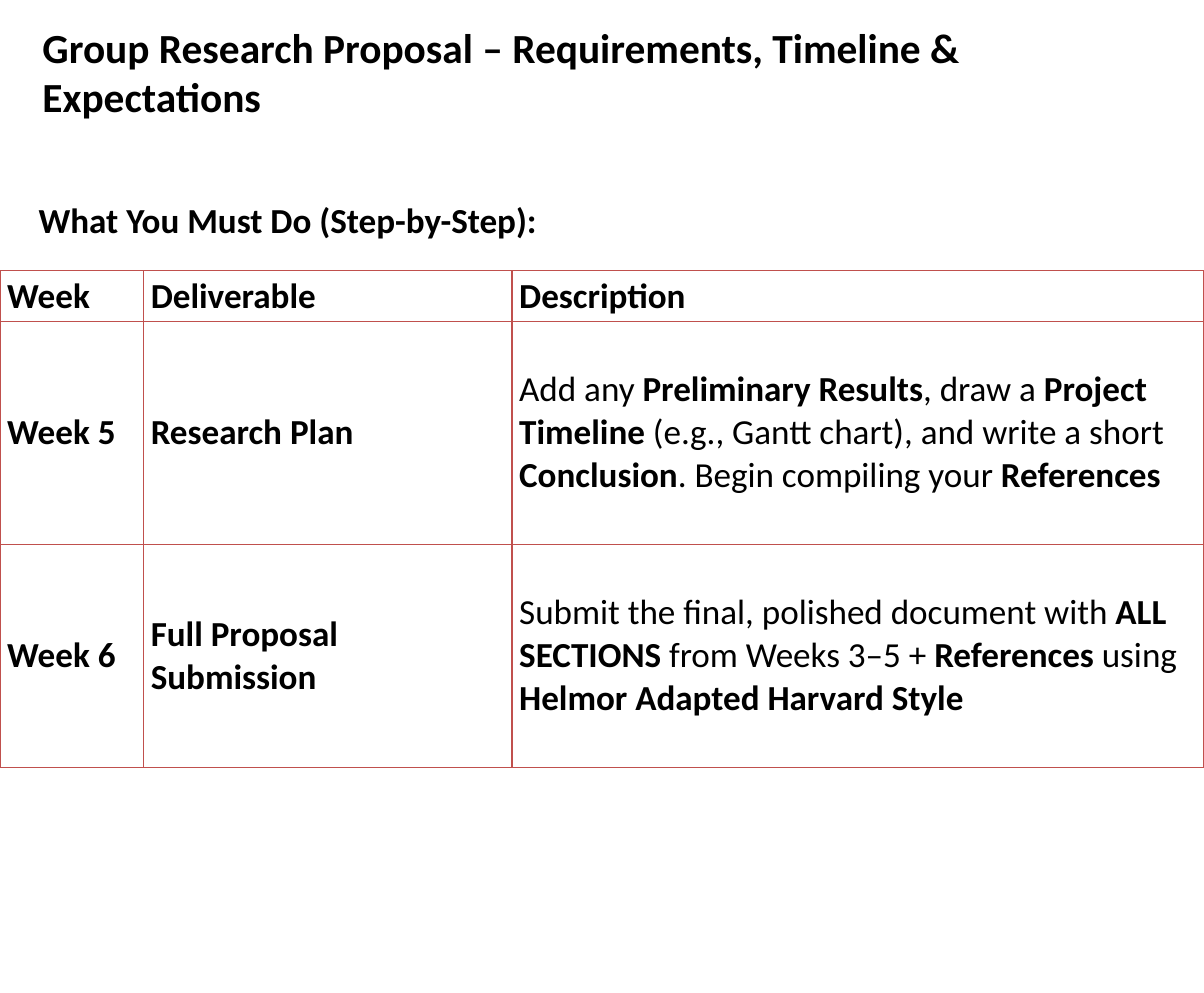
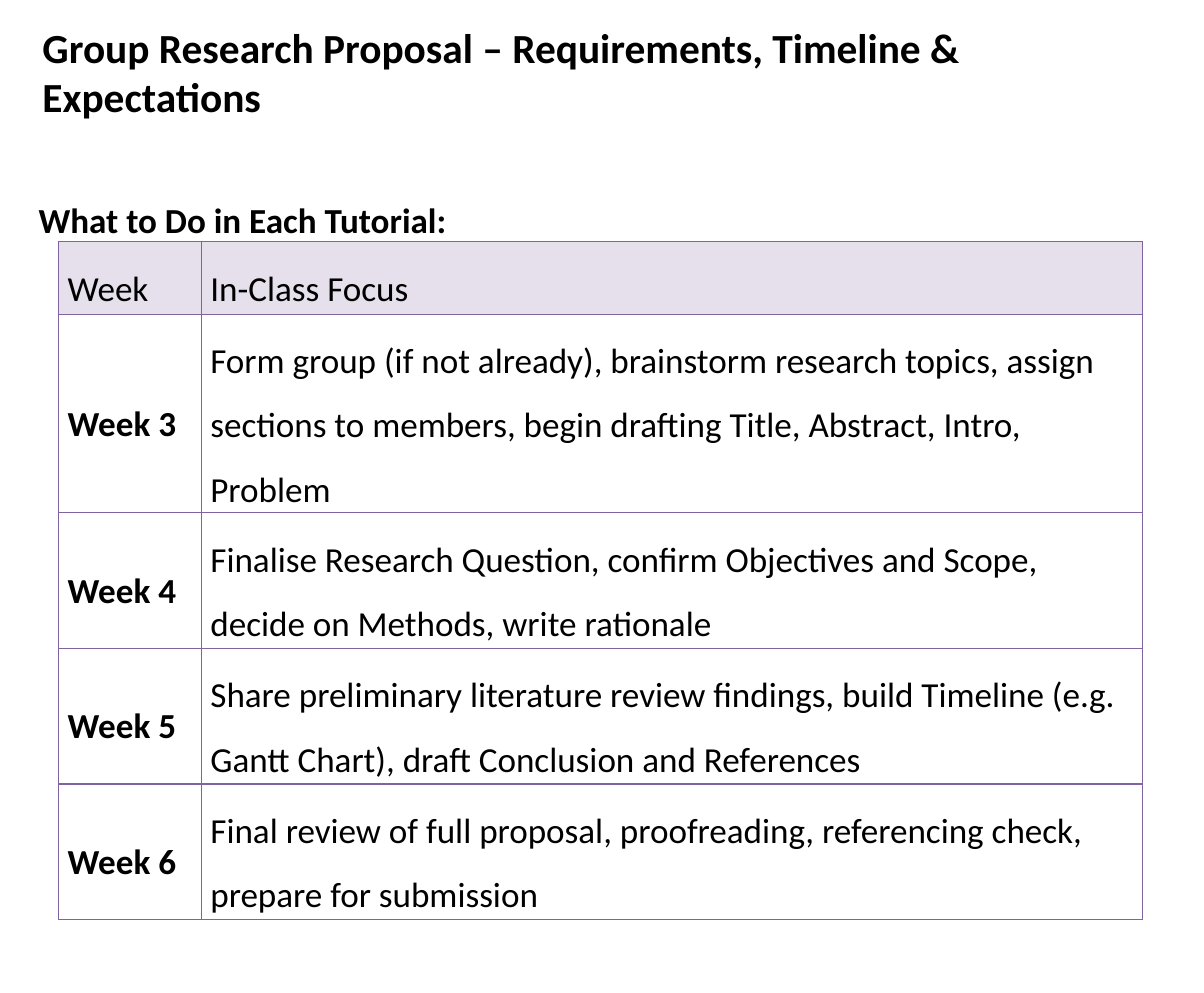
from lxml.etree import SubElement
from pptx import Presentation
from pptx.dml.color import RGBColor
from pptx.enum.text import MSO_ANCHOR, MSO_AUTO_SIZE
from pptx.oxml.ns import qn
from pptx.util import Inches, Pt

COLORS = {
    "text": "000000",
    "header": "E6E0EC",
    "deliverable_border": "C0504D",
    "tutorial_border": "8064A2",
}
FONT = "Calibri"
TITLE = "Group Research Proposal – Requirements, Timeline & Expectations"
TITLE_SIZE = 33
BODY_SIZE = 28

DELIVERABLES = [
    ["**Week**", "**Deliverable**", "**Description**"],
    ["**Week 5**", "**Research Plan**",
     "Add any **Preliminary Results**, draw a **Project Timeline** (e.g., Gantt chart), "
     "and write a short **Conclusion**. Begin compiling your **References**"],
    ["**Week 6**", "**Full Proposal Submission**",
     "Submit the final, polished document with **ALL SECTIONS** from Weeks 3–5 + "
     "**References** using **Helmor Adapted Harvard Style**"],
]
TUTORIALS = [
    ["Week", "In-Class Focus"],
    ["**Week 3**",
     "Form group (if not already), brainstorm research topics, assign sections to members, "
     "begin drafting Title, Abstract, Intro, Problem"],
    ["**Week 4**",
     "Finalise Research Question, confirm Objectives and Scope, decide on Methods, "
     "write rationale"],
    ["**Week 5**",
     "Share preliminary literature review findings, build Timeline (e.g. Gantt Chart), "
     "draft Conclusion and References"],
    ["**Week 6**",
     "Final review of full proposal, proofreading, referencing check, "
     "prepare for submission"],
]


def set_attrs(obj, values):
    for name, value in values.items():
        setattr(obj, name, value)


def margins(left, top, right, bottom):
    sides = zip(("left", "top", "right", "bottom"), (left, top, right, bottom))
    return {f"margin_{side}": Inches(size) for side, size in sides}


def write_text(tf, text, size, para_format):
    p = tf.paragraphs[0]
    set_attrs(p, para_format)
    for i, part in enumerate(text.split("**")):
        if part:
            r = p.add_run()
            r.text = part
            set_attrs(r.font, {"name": FONT, "size": Pt(size), "bold": i % 2 == 1})
            r.font.color.rgb = RGBColor.from_string(COLORS["text"])
    return p


def add_text(s, box, text, size, para_format, frame_format):
    tf = s.shapes.add_textbox(*map(Inches, box)).text_frame
    set_attrs(tf, {"word_wrap": True, "auto_size": MSO_AUTO_SIZE.SHAPE_TO_FIT_TEXT,
                   **frame_format})
    return write_text(tf, f"**{text}**", size, para_format)


def add_headings(s, heading):
    p = add_text(s, (0.21, 0.23, 11.38, 1.12), TITLE, TITLE_SIZE,
                 {"space_before": Pt(1)}, margins(0, 0.01, 0, 0))
    pPr = p._p.get_or_add_pPr()
    pPr.set("marL", str(Inches(0.26)))
    pPr.set("indent", "0")
    add_text(s, (0.33, 1.92, 13, 0.73), heading, BODY_SIZE, {"line_spacing": 1.5}, {})


def set_borders(cell, color):
    tcPr = cell._tc.get_or_add_tcPr()
    for side in ("a:lnL", "a:lnR", "a:lnT", "a:lnB"):
        ln = SubElement(tcPr, qn(side), w=str(Pt(1)))
        fill = SubElement(ln, qn("a:solidFill"))
        SubElement(fill, qn("a:srgbClr"), val=color)


def add_grid(s, left, top, widths, heights, rows, border, cell_format,
             para_format, header_fill=None):
    size = (left, top, sum(widths), sum(heights))
    table = s.shapes.add_table(len(rows), len(widths), *map(Inches, size)).table
    set_attrs(table, {"first_row": False, "horz_banding": False})
    for column, width in zip(table.columns, widths):
        column.width = Inches(width)
    for i, (row, height, texts) in enumerate(zip(table.rows, heights, rows)):
        row.height = Inches(height)
        for cell, text in zip(row.cells, texts):
            set_attrs(cell, {"vertical_anchor": MSO_ANCHOR.MIDDLE, **cell_format})
            set_borders(cell, COLORS[border])
            if header_fill and i == 0:
                cell.fill.solid()
                cell.fill.fore_color.rgb = RGBColor.from_string(COLORS[header_fill])
            else:
                cell.fill.background()
            write_text(cell.text_frame, text, BODY_SIZE, para_format)


def add_slide(prs, heading):
    s = prs.slides.add_slide(prs.slide_layouts[6])
    add_headings(s, heading)
    return s


def main():
    prs = Presentation()
    prs.slide_width = Inches(40 / 3)
    prs.slide_height = Inches(11)

    s = add_slide(prs, "What You Must Do (Step-by-Step):")
    add_grid(s, 0, 3, (1.59, 4.08, 7.66), (0.56, 2.47, 2.47), DELIVERABLES,
             "deliverable_border", margins(0.08, 0.04, 0.08, 0.04), {})

    s = add_slide(prs, "What to Do in Each Tutorial:")
    add_grid(s, 0.65, 2.68, (1.58, 10.42), (0.8, 2.2, 1.5, 1.5, 1.5), TUTORIALS,
             "tutorial_border", {}, {"line_spacing": 1.5}, "header")

    prs.save("out.pptx")


if __name__ == "__main__":
    main()
